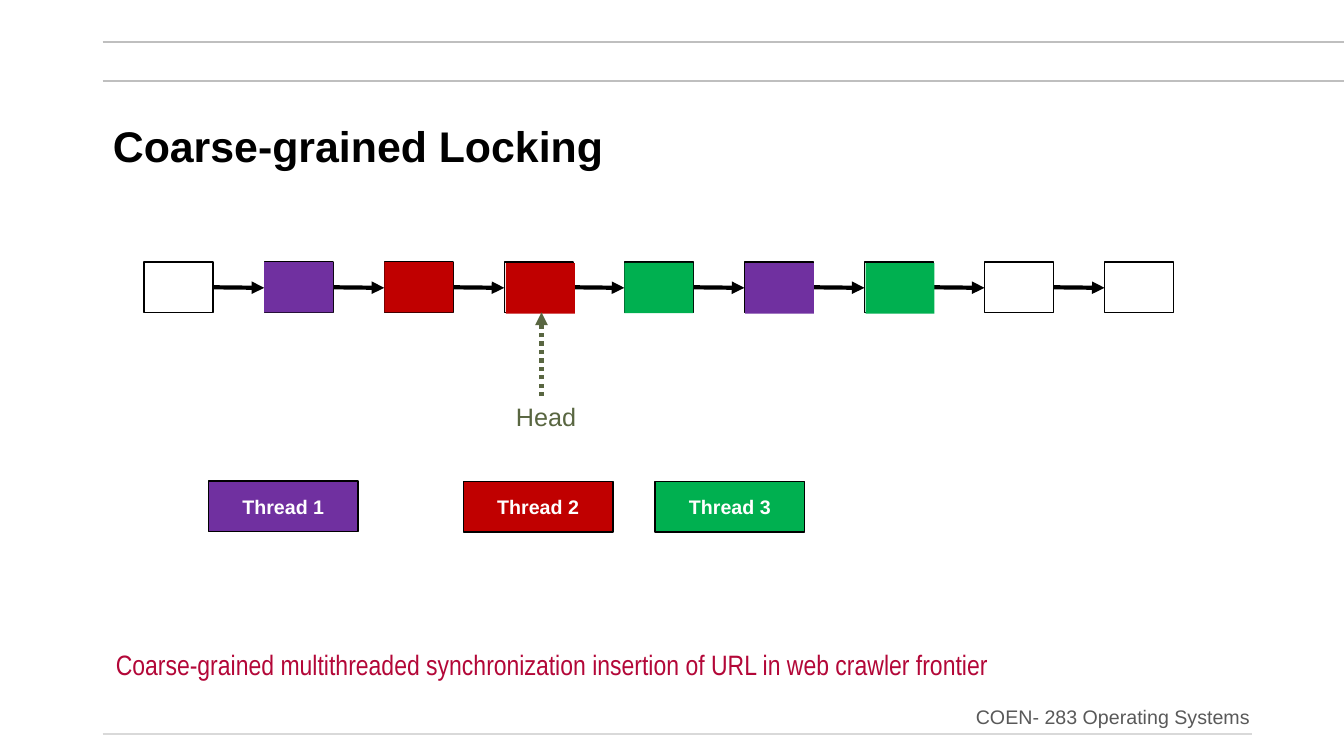
from pptx import Presentation
from pptx.dml.color import RGBColor
from pptx.enum.dml import MSO_LINE
from pptx.enum.shapes import MSO_CONNECTOR, MSO_SHAPE
from pptx.enum.text import MSO_ANCHOR, MSO_AUTO_SIZE, PP_ALIGN
from pptx.oxml.ns import qn
from pptx.util import Pt
from lxml.etree import SubElement

COLORS = {
    "black": "000000", "white": "FFFFFF", "purple": "7030A0", "red": "C00000",
    "green": "00B050", "olive": "596641", "wine": "B30738", "gray": "595959",
    "rule": "BFBFBF", "pale": "D9D9D9",
}
TITLE = "Coarse-grained Locking"
# left, right, y, color
RULES = [(73.4, 960, 57.6, "rule"), (73.4, 960, 30.2, "rule"),
         (73.4, 894.2, 524.2, "pale")]
COUNT = 9
# node index, shift right, shift down, color
LOCKS = [(1, 0, 0, "purple"), (2, 0, 0, "red"), (3, 1.2, 0.8, "red"),
         (4, 0, 0.5, "green"), (5, 0.5, 0.8, "purple"), (6, 0.8, 0.8, "green")]
# name, left, top, color
THREADS = [("Thread 1", 149, 343.7, "purple"), ("Thread 2", 331, 344, "red"),
           ("Thread 3", 468, 344, "green")]
# text, box, size, font, color, align, anchor
TEXTS = [
    ("Head", (361.4, 283, 58.3, 29), 18, "Arial", "olive",
     PP_ALIGN.LEFT, MSO_ANCHOR.TOP),
    ("Coarse-grained multithreaded synchronization insertion of URL in web "
     "crawler frontier", (75.6, 458.6, 838.8, 31.5), 20, "Arial Narrow", "wine",
     PP_ALIGN.LEFT, MSO_ANCHOR.TOP),
    ("COEN- 283 Operating Systems", (594.7, 492.5, 305.3, 31.7), 14, "Arial",
     "gray", PP_ALIGN.RIGHT, MSO_ANCHOR.BOTTOM),
]
LEFT, TOP, STEP = 103, 187.2, 85.75
WIDE, HIGH = 49.2, 36


def color(name):
    return RGBColor.from_string(COLORS[name])


def put(shape, text, size, font, tint, align, anchor, bold=False):
    """Fill a shape with one styled paragraph."""
    frame = shape.text_frame
    frame.text = text
    frame.word_wrap = True
    frame.auto_size = MSO_AUTO_SIZE.NONE
    frame.vertical_anchor = anchor
    para = frame.paragraphs[0]
    para.alignment = align
    face = para.runs[0].font
    face.size, face.name, face.bold = Pt(size), font, bold
    face.color.rgb = color(tint)


def rect(left, top, width, height, fill, edge=True):
    box = slide.shapes.add_shape(
        MSO_SHAPE.RECTANGLE, Pt(left), Pt(top), Pt(width), Pt(height))
    box.shadow.inherit = False
    box.fill.solid()
    box.fill.fore_color.rgb = color(fill)
    if edge:
        box.line.color.rgb = color("black")
        box.line.width = Pt(1)
    else:
        box.line.fill.background()
    return box


def line(x1, y1, x2, y2, tint, width, arrow=False):
    link = slide.shapes.add_connector(
        MSO_CONNECTOR.STRAIGHT, Pt(x1), Pt(y1), Pt(x2), Pt(y2))
    link.line.color.rgb = color(tint)
    link.line.width = Pt(width)
    props = link.line._get_or_add_ln()
    if arrow:
        SubElement(props, qn("a:tailEnd"), type="triangle")
    SubElement(props.getparent(), qn("a:effectLst"))
    return link


deck = Presentation()
deck.slide_width, deck.slide_height = Pt(960), Pt(540)
slide = deck.slides.add_slide(deck.slide_layouts[5])

for left, right, y, tint in RULES:
    line(left, y, right, y, tint, 1.5)

title = slide.shapes.title
title.left, title.top, title.width, title.height = map(Pt, (73.4, 92.2, 820, 28))
put(title, TITLE, 30.6, "Arial", "black", PP_ALIGN.LEFT, MSO_ANCHOR.MIDDLE, True)
title.text_frame.paragraphs[0].line_spacing = 0.9

mid = TOP + HIGH / 2
for i in range(COUNT):
    x = LEFT + i * STEP
    rect(x, TOP, WIDE, HIGH, "white")
    if i < COUNT - 1:
        line(x + WIDE, mid, x + STEP, mid + 0.4, "black", 3, True)

for i, right, down, tint in LOCKS:
    rect(LEFT + i * STEP + right, TOP + down, WIDE, HIGH, tint, False)

for name, left, top, tint in THREADS:
    box = rect(left, top, 106.8, 36, tint)
    put(box, name, 14, "Arial", "white", PP_ALIGN.CENTER, MSO_ANCHOR.MIDDLE, True)

head = line(386.8, 283, 386.8, 223.2, "olive", 3, True)
head.line.dash_style = MSO_LINE.ROUND_DOT

for text, place, *style in TEXTS:
    put(slide.shapes.add_textbox(*map(Pt, place)), text, *style)

deck.save("out.pptx")
